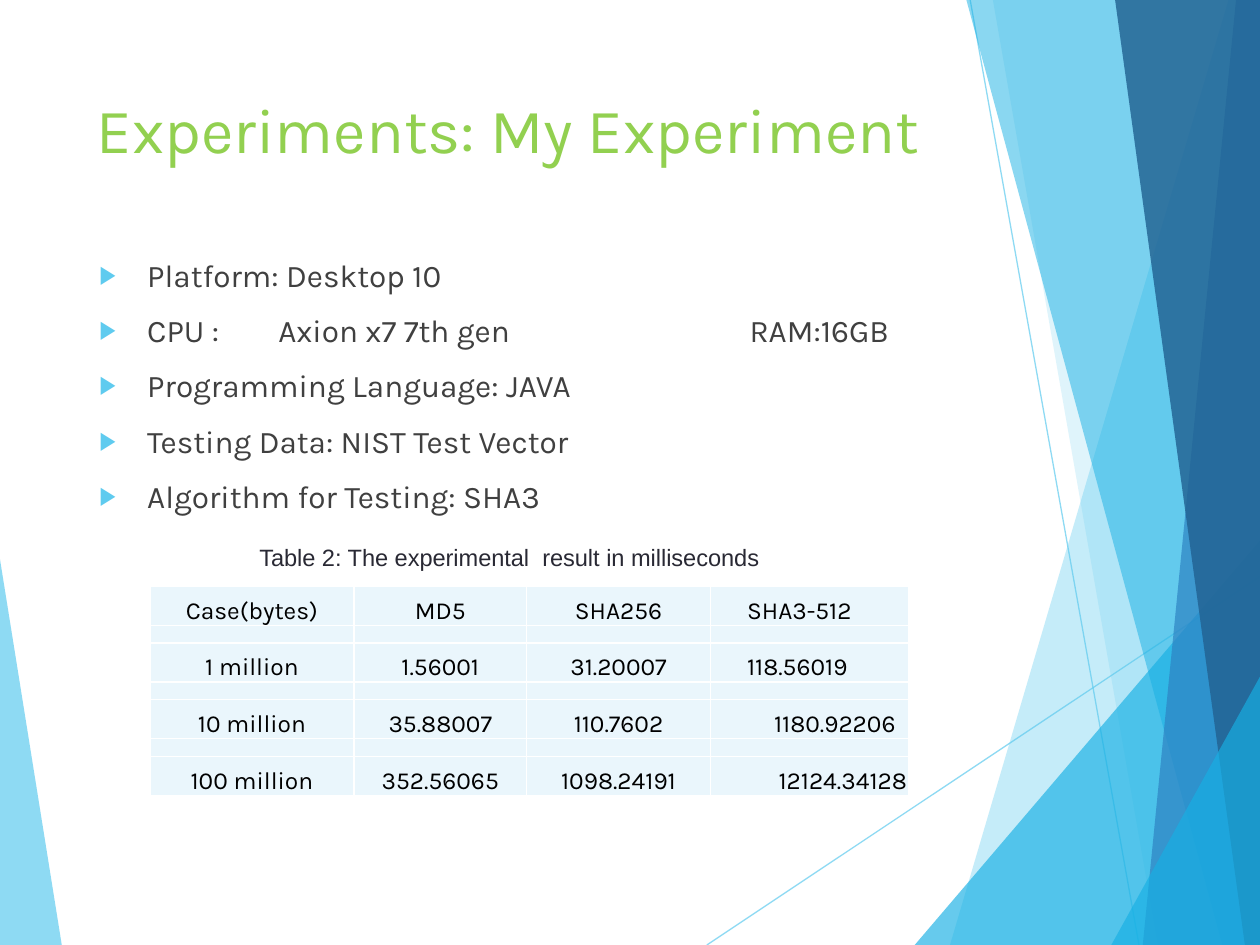
from lxml import etree
from pptx import Presentation
from pptx.dml.color import RGBColor
from pptx.enum.shapes import MSO_CONNECTOR
from pptx.enum.text import MSO_ANCHOR, PP_ALIGN
from pptx.oxml.ns import qn
from pptx.util import Inches, Pt

STRAIGHT = MSO_CONNECTOR.STRAIGHT
TOP, BOTTOM = MSO_ANCHOR.TOP, MSO_ANCHOR.BOTTOM
LEFT, CENTER, RIGHT = PP_ALIGN.LEFT, PP_ALIGN.CENTER, PP_ALIGN.RIGHT
SKY, CYAN, BLUE, NAVY = "5FCBEF", "17B0E4", "2E83C3", "226292"


def color(value):
    return RGBColor.from_string(value)


def set_opacity(shape, percent):
    for node in shape._element.spPr.iter(qn("a:srgbClr")):
        etree.SubElement(node, qn("a:alpha"), val=str(percent * 1000))


presentation = Presentation()
presentation.slide_width = Inches(10)
presentation.slide_height = Inches(7.5)
slide = presentation.slides.add_slide(presentation.slide_layouts[6])
shapes = slide.shapes

# All positions are percentages of the slide's width and height
column = presentation.slide_width // 100
row = presentation.slide_height // 100

# Left wedge, thin rays and right-hand facets, from back to front
facets = [
    (SKY, 70, [(0, 59.2), (4.9, 100), (0, 100)]),
    (SKY, 36, [(97.5, 0), (75.4, 100), (100, 100), (100, 0)]),
    (SKY, 20, [(78.8, 0), (91.9, 100), (100, 100), (100, 0)]),
    (CYAN, 66, [(72.6, 100), (100, 57.2), (100, 100)]),
    (CYAN, 50, [(76.7, 0), (97, 100), (100, 100), (100, 0)]),
    (BLUE, 70, [(98.1, 0), (90.7, 100), (100, 100), (100, 0)]),
    (NAVY, 82, [(88.5, 0), (98.8, 100), (100, 100), (100, 0)]),
    (CYAN, 66, [(88.2, 100), (100, 71.6), (100, 100)]),
]
rays = [(56.1, 100, 100, 61), (77, 0, 90.4, 100)]

for index, (fill, opacity, corners) in enumerate(facets):
    points = [(int(x * column), int(y * row)) for x, y in corners]
    builder = shapes.build_freeform(*points[0])
    builder.add_line_segments(points[1:], close=True)
    facet = builder.convert_to_shape()
    facet.shadow.inherit = False
    facet.fill.solid()
    facet.fill.fore_color.rgb = color(fill)
    facet.line.fill.background()
    set_opacity(facet, opacity)
    if index == 0:
        for x1, y1, x2, y2 in rays:
            ray = shapes.add_connector(STRAIGHT, int(x1 * column), int(y1 * row),
                                       int(x2 * column), int(y2 * row))
            ray.line.color.rgb = color(SKY)
            ray.line.width = Pt(0.75)
            set_opacity(ray, 70)
            etree.SubElement(ray._element.spPr, qn("a:effectLst"))

# Title, bullet list and table caption
specifications = [
    "Platform: Desktop 10",
    "CPU :\tAxion x7 7th gen\tRAM:16GB",
    "Programming Language: JAVA",
    "Testing Data: NIST Test Vector",
    "Algorithm for Testing: SHA3",
]
caption = "Table 2: The experimental  result in milliseconds"
texts = [
    ((6.7, 8.93, 69.4, 19.2), ["Experiments: My Experiment"], 36, "Karla", "92D050", False),
    ((6.9, 26.4, 86.2, 58), specifications, 18, "Karla", "404040", True),
    ((19.6, 56.8, 42.4, 7), [caption], 13.5, "Arial", "292934", False),
]
for (left, top, width, height), lines, size, font, ink, bulleted in texts:
    box = shapes.add_textbox(int(left * column), int(top * row),
                             int(width * column), int(height * row))
    frame = box.text_frame
    frame.word_wrap = True
    frame.vertical_anchor = TOP
    frame.text = "\n".join(lines)
    for paragraph in frame.paragraphs:
        for run in paragraph.runs:
            run.font.size = Pt(size)
            run.font.name = font
            run.font.color.rgb = color(ink)
        if bulleted:
            paragraph.space_before = Pt(10)
            properties = paragraph._p.get_or_add_pPr()
            properties.set("marL", str(Inches(0.38)))
            properties.set("indent", str(-Inches(0.38)))
            bullet_color = etree.SubElement(properties, qn("a:buClr"))
            etree.SubElement(bullet_color, qn("a:srgbClr"), val=SKY)
            etree.SubElement(properties, qn("a:buSzPct"), val="80000")
            etree.SubElement(properties, qn("a:buFont"), typeface="Arial")
            etree.SubElement(properties, qn("a:buChar"), char="▶")
            tabs = etree.SubElement(properties, qn("a:tabLst"))
            for stop in (1.42, 5.16):
                etree.SubElement(tabs, qn("a:tab"), pos=str(Inches(stop)), algn="l")

# Result table: data rows separated by thin empty rows
results = [
    ("Case(bytes)", "MD5", "SHA256", "SHA3-512"),
    ("1 million", "1.56001", "31.20007", "118.56019"),
    ("10 million", "35.88007", "110.7602", "1180.92206"),
    ("100 million", "352.56065", "1098.24191", "12124.34128"),
]
last_column = [(LEFT, 0.29, 0), (LEFT, 0.29, 0), (RIGHT, 0, 0.1), (RIGHT, 0, 0.01)]
row_count = 2 * len(results) - 1
table = shapes.add_table(row_count, 4, int(11.9 * column), int(62.05 * row),
                         int(60.2 * column), int(22.3 * row)).table
table.first_row = table.horz_banding = False
for table_column, width in zip(table.columns, (16.2, 13.7, 14.6, 15.7)):
    table_column.width = int(width * column)
for row_index in range(row_count):
    data_index, is_gap = divmod(row_index, 2)
    table.rows[row_index].height = Inches(0.14 if is_gap else 0.31)
    for column_index in range(4):
        cell = table.cell(row_index, column_index)
        cell.margin_left = cell.margin_right = cell.margin_top = cell.margin_bottom = 0
        cell.vertical_anchor = BOTTOM
        paragraph = cell.text_frame.paragraphs[0]
        if is_gap:
            etree.SubElement(paragraph._p, qn("a:endParaRPr"), sz="600")
        else:
            paragraph.text = results[data_index][column_index]
            paragraph.alignment = CENTER
            if column_index == 3:
                alignment, left_inset, right_inset = last_column[data_index]
                paragraph.alignment = alignment
                cell.margin_left = Inches(left_inset)
                cell.margin_right = Inches(right_inset)
            font = paragraph.runs[0].font
            font.size = Pt(14)
            font.name = "Karla"
            font.color.rgb = color("000000")
        # White cell borders come before the fill
        cell_properties = cell._tc.get_or_add_tcPr()
        for side in ("lnL", "lnR", "lnT", "lnB"):
            border = etree.SubElement(cell_properties, qn("a:" + side), w=str(Pt(1)))
            border_fill = etree.SubElement(border, qn("a:solidFill"))
            etree.SubElement(border_fill, qn("a:srgbClr"), val="FFFFFF")
        cell.fill.solid()
        cell.fill.fore_color.rgb = color("EAF6FC")

presentation.save("out.pptx")
